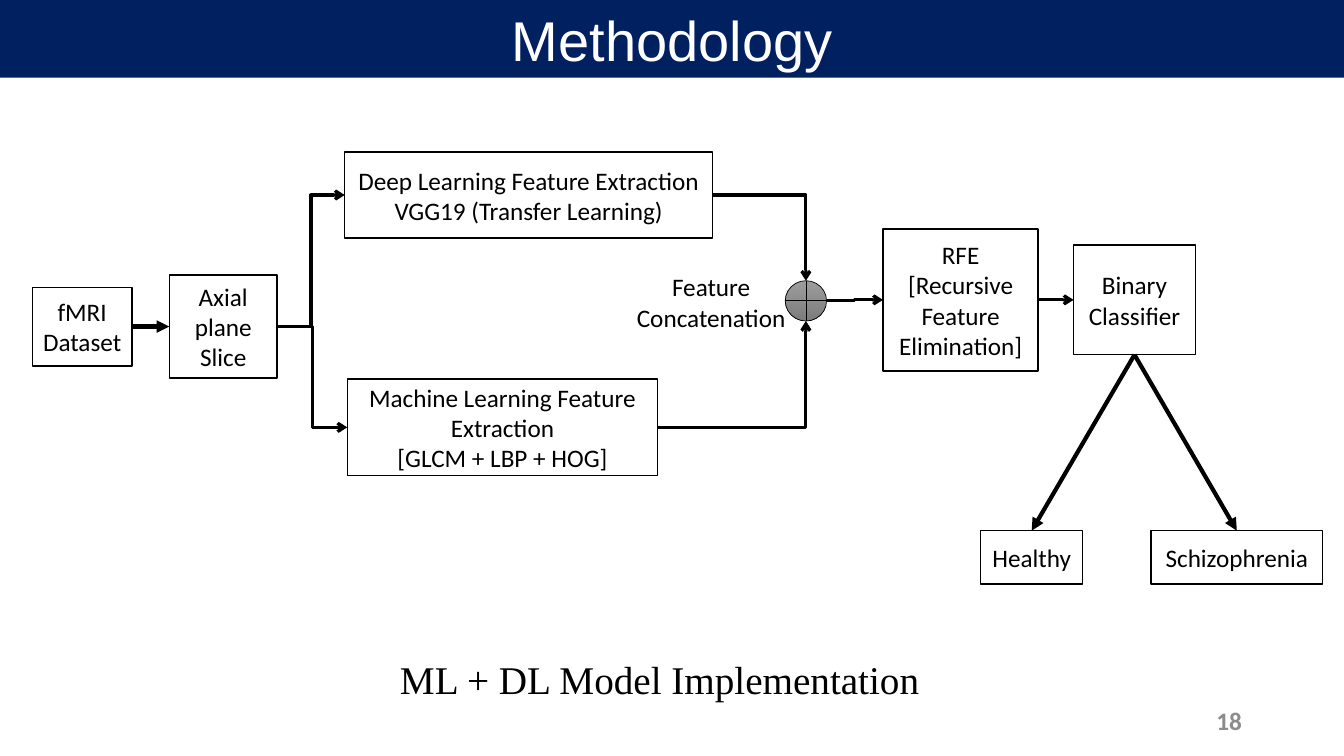
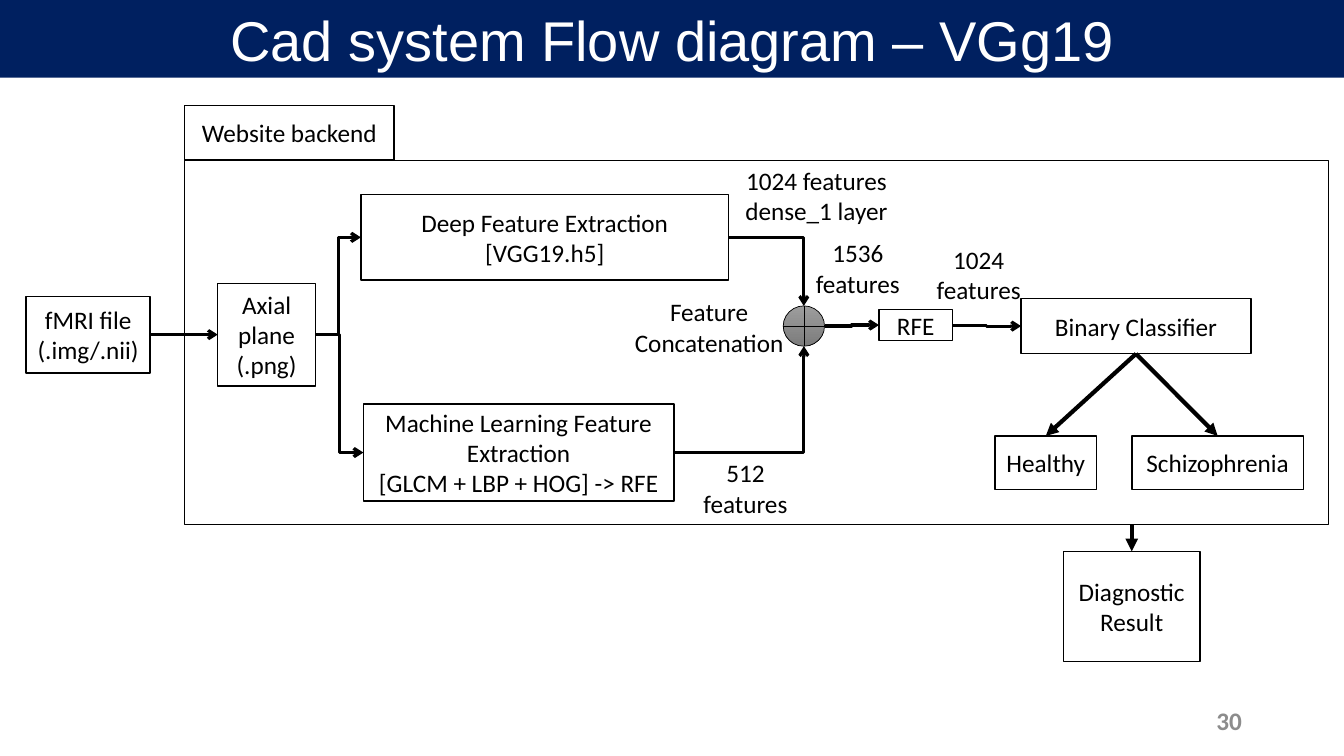
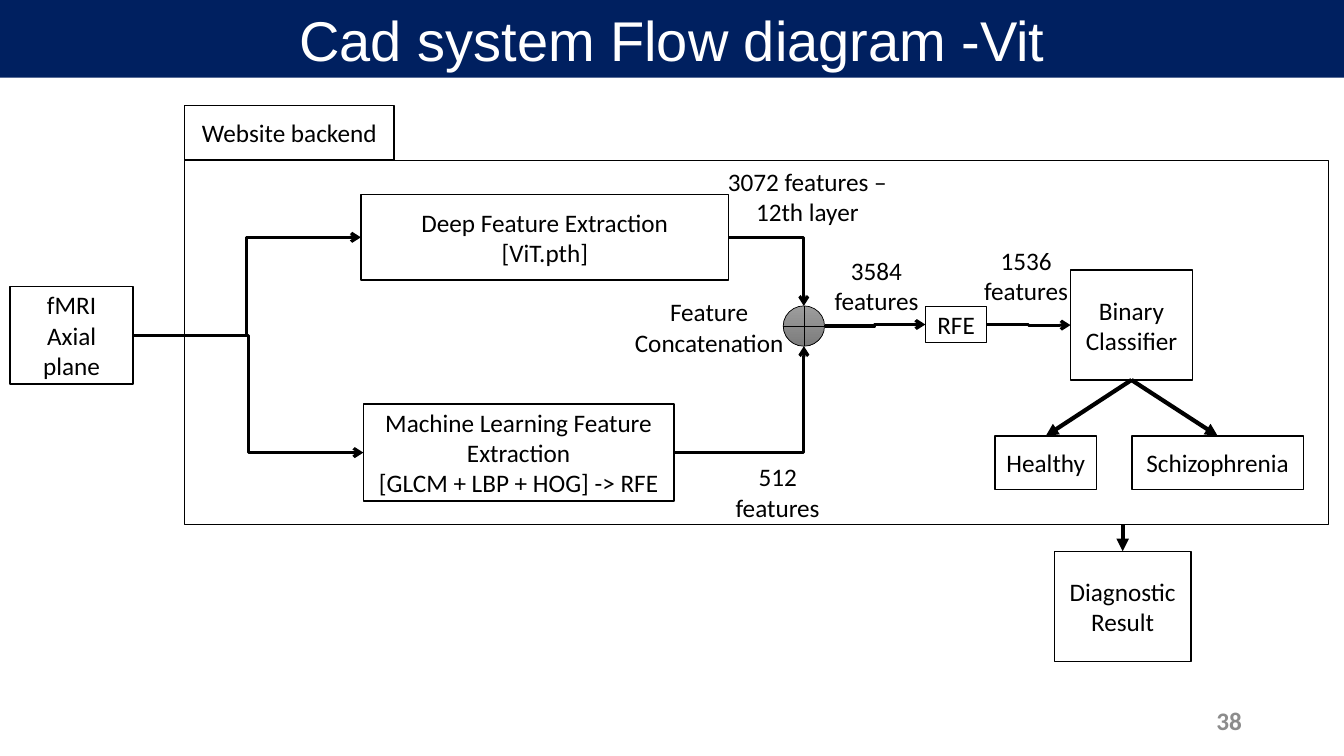
from collections import namedtuple

from lxml import etree
from pptx import Presentation
from pptx import util as u
from pptx.dml.color import RGBColor
from pptx.enum import shapes, text
from pptx.oxml.ns import qn

# Lengths are cells of a square grid, 133.33 columns by 75 rows.
CELL = u.Inches(0.1)
COLS, ROWS = 133.33, 75
NAVY = RGBColor(0x00, 0x20, 0x60)
WHITE = RGBColor(0xFF, 0xFF, 0xFF)
BLACK = RGBColor(0x00, 0x00, 0x00)
GREY = RGBColor(0x8C, 0x8C, 0x8C)
SILVER = RGBColor(0x9D, 0x9D, 0x9D)
STEEL = RGBColor(0x7C, 0x7C, 0x7C)
BODY, HEAD, SERIF = "Calibri", "Arial", "Times New Roman"
CENTER, RIGHT, LEFT = text.PP_ALIGN.CENTER, text.PP_ALIGN.RIGHT, text.PP_ALIGN.LEFT
TOP, MIDDLE = text.MSO_ANCHOR.TOP, text.MSO_ANCHOR.MIDDLE
STRAIGHT, ELBOW = shapes.MSO_CONNECTOR.STRAIGHT, shapes.MSO_CONNECTOR.ELBOW
SIDES = ["top", "left", "bottom", "right"]

Box = namedtuple("Box", "x y w h")
Step = namedtuple("Step", "box lines")


def emu(*cells):
    return [round(c * CELL) for c in cells]


def write(sp, lines, size=18, font=BODY, color=BLACK, align=CENTER,
          anchor=MIDDLE, bold=False):
    tf = sp.text_frame
    tf.word_wrap = True
    tf.auto_size = text.MSO_AUTO_SIZE.NONE
    tf.vertical_anchor = anchor
    for i, line in enumerate(lines):
        p = tf.add_paragraph() if i else tf.paragraphs[0]
        p.alignment = align
        r = p.add_run()
        r.text = line
        r.font.size, r.font.name, r.font.bold = u.Pt(size), font, bold
        r.font.color.rgb = color


def label(slide, box, lines, **style):
    write(slide.shapes.add_textbox(*emu(*box)), lines, **style)


def node(slide, box, lines=()):
    """Outlined white box of the flow chart."""
    sp = slide.shapes.add_shape(shapes.MSO_SHAPE.RECTANGLE, *emu(*box))
    sp.shadow.inherit = False
    sp.fill.solid()
    sp.fill.fore_color.rgb = WHITE
    sp.line.color.rgb = BLACK
    sp.line.width = u.Pt(1)
    if lines:
        write(sp, lines)
    return sp


def junction(slide, box):
    """Shaded circle with a cross, where features are joined."""
    sp = slide.shapes.add_shape(shapes.MSO_SHAPE.FLOWCHART_OR, *emu(*box))
    sp.shadow.inherit = False
    sp.fill.gradient()
    sp.fill.gradient_angle = 270
    for stop, color in zip(sp.fill.gradient_stops, (SILVER, STEEL)):
        stop.color.rgb = color
    sp.line.color.rgb = BLACK
    sp.line.width = u.Pt(0.5)
    return sp


def arrow(slide, start, end, kind=STRAIGHT):
    c = slide.shapes.add_connector(kind, *start, *end)
    c.line.color.rgb = BLACK
    c.line.width = u.Pt(3 if kind == STRAIGHT else 2.25)
    etree.SubElement(c.line._get_or_add_ln(), qn("a:tailEnd"),
                     type="triangle" if kind == STRAIGHT else "arrow")
    etree.SubElement(c._element.spPr, qn("a:effectLst"))
    return c


def site(sp, side):
    """Middle of one side of a shape."""
    mid_x, mid_y = sp.left + sp.width // 2, sp.top + sp.height // 2
    return {"top": (mid_x, sp.top), "bottom": (mid_x, sp.top + sp.height),
            "left": (sp.left, mid_y), "right": (sp.left + sp.width, mid_y)}[side]


def connect(slide, a, a_side, b, b_side, kind=ELBOW):
    """Arrow glued to both shapes; one bend when it turns into b."""
    c = arrow(slide, site(a, a_side), site(b, b_side), kind)
    if kind == ELBOW and b_side in ("top", "bottom"):
        c._element.spPr.find(qn("a:prstGeom")).set("prst", "bentConnector2")
    glue = c._element.find(".//" + qn("p:cNvCxnSpPr"))
    for tag, sp, side in (("a:stCxn", a, a_side), ("a:endCxn", b, b_side)):
        # The circle has eight sites, every other one on a side.
        step = 2 if sp.auto_shape_type == shapes.MSO_SHAPE.FLOWCHART_OR else 1
        etree.SubElement(glue, qn(tag), id=str(sp.shape_id),
                         idx=str(SIDES.index(side) * step))


def titled_slide(prs, title, number):
    slide = prs.slides.add_slide(prs.slide_layouts[5])
    band = slide.shapes.title
    band.left, band.top, band.width, band.height = emu(0, 0, COLS, 7.7)
    band.fill.solid()
    band.fill.fore_color.rgb = NAVY
    write(band, [title], size=40, font=HEAD, color=WHITE, anchor=TOP)
    label(slide, Box(94.2, 69.5, 30, 4), [number], color=GREY, align=RIGHT, bold=True)
    return slide


def chain(slide, steps, first=None, kind=ELBOW):
    """Row of boxes joined left to right; returns the last one."""
    last = first
    for step in steps:
        sp = node(slide, *step)
        if last is not None:
            connect(slide, last, "right", sp, "left", kind)
        last = sp
    return last


def feature_branches(slide, box, source, deep, machine):
    """Two extraction branches which meet at a junction on the right."""
    right, bottom = box.x + box.w, box.y + box.h
    upper = node(slide, Box(box.x, box.y, 36.5, 8.5), deep)
    lower = node(slide, Box(box.x + 0.25, bottom - 9.6, 30.8, 9.6),
                 ["Machine Learning Feature Extraction", machine])
    joint = junction(slide, Box(right - 4.1, bottom - 19.35, 4.1, 4))
    label(slide, Box(right - 20.3, bottom - 20.75, 17.7, 7.1),
          ["Feature Concatenation"], anchor=TOP)
    for branch, side in ((upper, "top"), (lower, "bottom")):
        connect(slide, source, "right", branch, "left")
        connect(slide, branch, "right", joint, side)
    return joint


def outcomes(slide, box, classifier):
    for name, x, w in (("Healthy", box.x, 10.1),
                       ("Schizophrenia", box.x + box.w - 17, 17)):
        sp = node(slide, Box(x, box.y, w, box.h), [name])
        connect(slide, classifier, "bottom", sp, "top", STRAIGHT)


def backend(slide, box):
    tab_h = 5.45
    node(slide, box)
    node(slide, Box(box.x, box.y - tab_h, 20.8, tab_h), ["Website backend"])


def diagnosis(slide, panel, x):
    """Result box hung below the panel."""
    bottom = panel.y + panel.h
    sp = node(slide, Box(x, bottom + 2.65, 13.55, 10.9), ["Diagnostic Result"])
    mid_x, top = site(sp, "top")
    arrow(slide, (mid_x, emu(bottom)[0]), (mid_x, top))


def methodology(prs):
    slide = titled_slide(prs, "Methodology", "18")
    source = chain(slide, [Step(Box(3.2, 28.5, 9.9, 7.8), ["fMRI Dataset"]),
                           Step(Box(16.8, 27.3, 10.7, 10.2), ["Axial plane", "Slice"])],
                   kind=STRAIGHT)
    joint = feature_branches(
        slide, Box(34.2, 15.1, 47.8, 32.1), source,
        ["Deep Learning Feature Extraction", "VGG19 (Transfer Learning)"],
        "[GLCM + LBP + HOG]")
    classifier = chain(slide, [
        Step(Box(87.6, 22.7, 15.4, 14.1), ["RFE", "[Recursive Feature Elimination]"]),
        Step(Box(106.5, 24.3, 12.1, 10.9), ["Binary Classifier"])], joint)
    outcomes(slide, Box(97.3, 52.65, 33.9, 5.3), classifier)
    label(slide, Box(38.7, 64.5, 55, 5.7), ["ML + DL Model Implementation"],
          size=28, font=SERIF, align=LEFT, anchor=TOP)


def cad_system(prs, title, number, inputs, model, rfe, classifier, counts, result_x):
    slide = titled_slide(prs, title, number)
    panel = Box(18.3, 15.9, 113.5, 36.15)
    backend(slide, panel)
    source = chain(slide, inputs)
    joint = feature_branches(slide, Box(35.8, 19.3, 46, 30.4), source,
                             ["Deep Feature Extraction", model],
                             "[GLCM + LBP + HOG] -> RFE")
    last = chain(slide, [Step(rfe, ["RFE"]),
                         Step(classifier, ["Binary Classifier"])], joint)
    outcomes(slide, Box(98.7, 43.25, 30.6, 5.3), last)
    for box, lines in counts:
        label(slide, box, lines, anchor=TOP)
    diagnosis(slide, panel, result_x)


def main():
    prs = Presentation()
    prs.slide_width, prs.slide_height = emu(COLS, ROWS)
    methodology(prs)
    cad_system(
        prs, "Cad system Flow diagram – VGg19", "30",
        inputs=[Step(Box(2.6, 29.4, 12.3, 7.6), ["fMRI file", "(.img/.nii)"]),
                Step(Box(21.6, 28.1, 9.7, 10.2), ["Axial plane", "(.png)"])],
        model="[VGG19.h5]",
        rfe=Box(87.2, 30.7, 7.3, 3.1),
        classifier=Box(101.3, 29.6, 22.8, 5.5),
        counts=[Step(Box(67.8, 15.9, 26.4, 7.1), ["1024 features", "dense_1 layer"]),
                Step(Box(67.9, 44.9, 12.1, 7.1), ["512", "features"]),
                Step(Box(79.3, 23.1, 11.6, 7.1), ["1536", "features"]),
                Step(Box(91.3, 23.7, 11.6, 7.1), ["1024", "features"])],
        result_x=105.5)
    cad_system(
        prs, "Cad system Flow diagram -Vit", "38",
        inputs=[Step(Box(1, 28.4, 12.2, 9.7), ["fMRI", "Axial plane"])],
        model="[ViT.pth]",
        rfe=Box(91.8, 30.4, 6.1, 3.6),
        classifier=Box(106.2, 26.8, 12.1, 10.9),
        counts=[Step(Box(70.4, 16, 19.4, 7.1), ["3072 features – 12th layer"]),
                Step(Box(71.1, 45.3, 12.1, 7.1), ["512", "features"]),
                Step(Box(78.2, 24.8, 17.5, 7.1), ["3584", "features"]),
                Step(Box(92.5, 23.8, 18.6, 7.1), ["1536", "features"])],
        result_x=104.6)
    prs.save("out.pptx")


if __name__ == "__main__":
    main()
